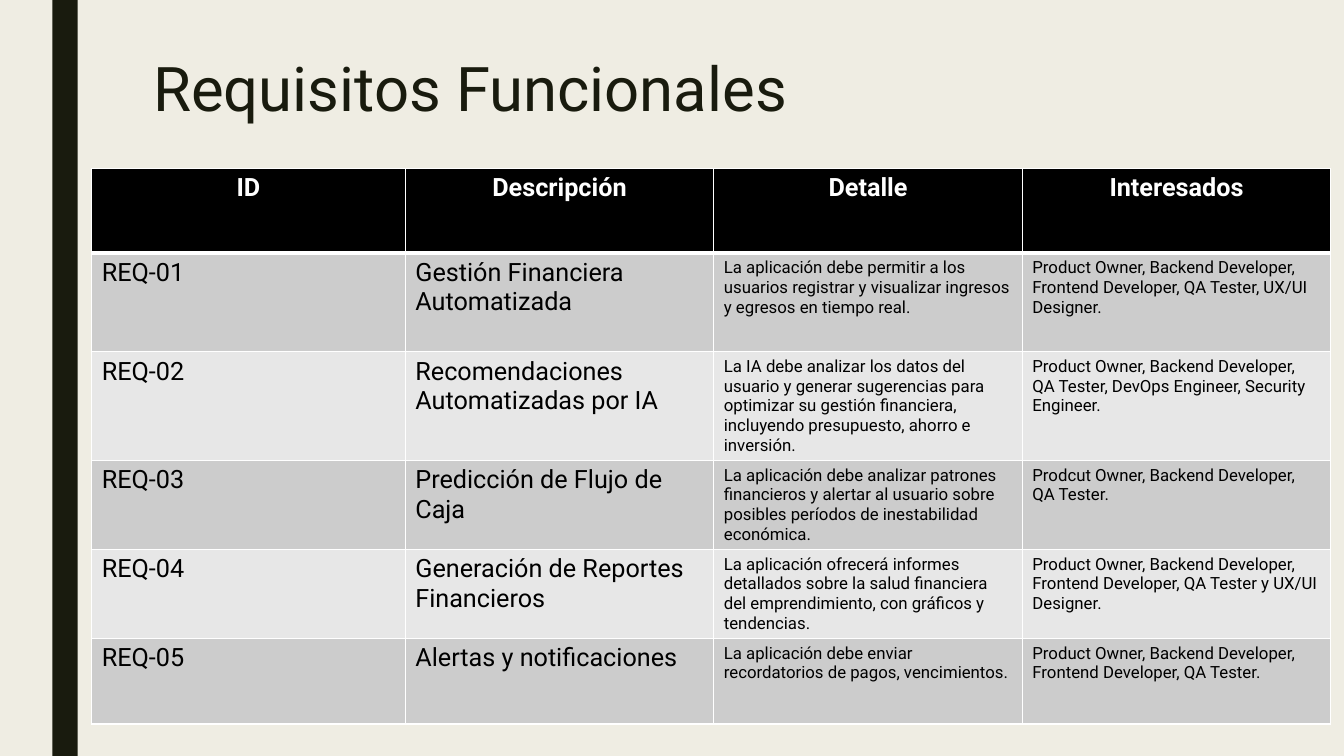
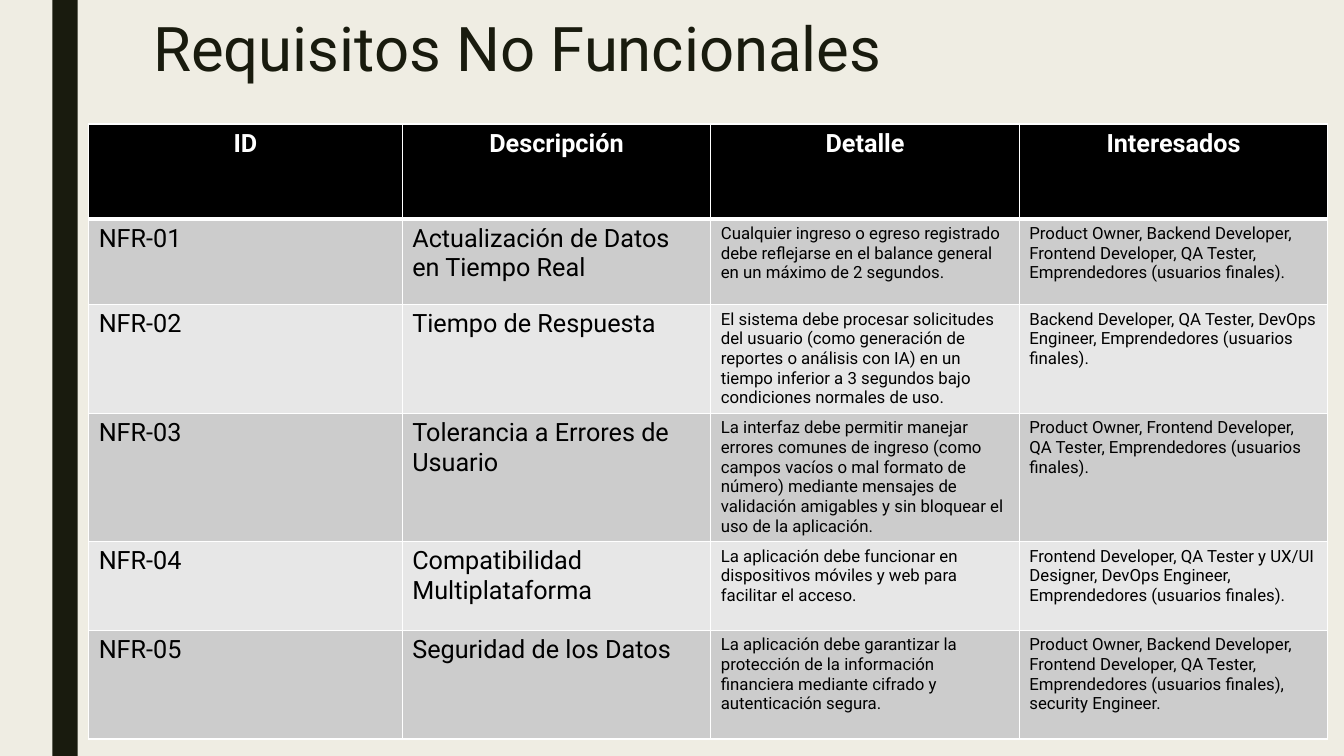
from lxml.etree import SubElement
from pptx import Presentation
from pptx.dml.color import RGBColor
from pptx.enum.shapes import MSO_SHAPE
from pptx.enum.text import MSO_ANCHOR, PP_ALIGN
from pptx.oxml.ns import qn
from pptx.util import Inches, Pt

CREAM = RGBColor(0xEF, 0xED, 0xE3)
DARK = RGBColor(0x19, 0x1B, 0x0E)
BLACK = RGBColor(0, 0, 0)
WHITE = RGBColor(0xFF, 0xFF, 0xFF)
ROW_FILLS = (RGBColor(0xCC, 0xCC, 0xCC), RGBColor(0xE7, 0xE7, 0xE7))
FONT = "Roboto"

TITLE_ONLY = 5
HEADINGS = ("ID", "Descripción", "Detalle", "Interesados")
COLUMN_WIDTHS = (3.11, 3.06, 3.06, 3.06)
COLUMN_SIZES = (18, 18, 12, 12)

FUNCTIONAL = (
    ("REQ-01", "Gestión Financiera Automatizada",
     "La aplicación debe permitir a los usuarios registrar y visualizar ingresos "
     "y egresos en tiempo real.",
     "Product Owner, Backend Developer, Frontend Developer, QA Tester, UX/UI Designer."),
    ("REQ-02", "Recomendaciones Automatizadas por IA",
     "La IA debe analizar los datos del usuario y generar sugerencias para optimizar "
     "su gestión financiera, incluyendo presupuesto, ahorro e inversión.",
     "Product Owner, Backend Developer, QA Tester, DevOps Engineer, Security Engineer."),
    ("REQ-03", "Predicción de Flujo de Caja",
     "La aplicación debe analizar patrones financieros y alertar al usuario sobre "
     "posibles períodos de inestabilidad económica.",
     "Prodcut Owner, Backend Developer, QA Tester."),
    ("REQ-04", "Generación de Reportes Financieros",
     "La aplicación ofrecerá informes detallados sobre la salud financiera del "
     "emprendimiento, con gráficos y tendencias.",
     "Product Owner, Backend Developer, Frontend Developer, QA Tester y UX/UI Designer."),
    ("REQ-05", "Alertas y notificaciones",
     "La aplicación debe enviar recordatorios de pagos, vencimientos.",
     "Product Owner, Backend Developer, Frontend Developer, QA Tester."),
)
NON_FUNCTIONAL = (
    ("NFR-01", "Actualización de Datos en Tiempo Real",
     "Cualquier ingreso o egreso registrado debe reflejarse en el balance general "
     "en un máximo de 2 segundos.",
     "Product Owner, Backend Developer, Frontend Developer, QA Tester, "
     "Emprendedores (usuarios finales)."),
    ("NFR-02", "Tiempo de Respuesta",
     "El sistema debe procesar solicitudes del usuario (como generación de reportes "
     "o análisis con IA) en un tiempo inferior a 3 segundos bajo condiciones "
     "normales de uso.",
     "Backend Developer, QA Tester, DevOps Engineer, Emprendedores (usuarios finales)."),
    ("NFR-03", "Tolerancia a Errores de Usuario",
     "La interfaz debe permitir manejar errores comunes de ingreso (como campos vacíos "
     "o mal formato de número) mediante mensajes de validación amigables y sin "
     "bloquear el uso de la aplicación.",
     "Product Owner, Frontend Developer, QA Tester, Emprendedores (usuarios finales)."),
    ("NFR-04", "Compatibilidad Multiplataforma",
     "La aplicación debe funcionar en dispositivos móviles y web para facilitar el acceso.",
     "Frontend Developer, QA Tester y UX/UI Designer, DevOps Engineer, "
     "Emprendedores (usuarios finales)."),
    ("NFR-05", "Seguridad de los Datos",
     "La aplicación debe garantizar la protección de la información financiera "
     "mediante cifrado y autenticación segura.",
     "Product Owner, Backend Developer, Frontend Developer, QA Tester, "
     "Emprendedores (usuarios finales), security Engineer."),
)


def style_font(font, size, color, bold=False):
    font.name = FONT
    font.size = Pt(size)
    font.color.rgb = color
    font.bold = bold


def set_background(master):
    master.background.fill.solid()
    master.background.fill.fore_color.rgb = CREAM


def move_band_to_master(slide, master):
    """Draw the vertical band and hand it to the master, behind its placeholders."""
    band = slide.shapes.add_shape(MSO_SHAPE.RECTANGLE, Inches(0.52), 0,
                                  Inches(0.25), Inches(7.5))
    band.shadow.inherit = False
    band.fill.solid()
    band.fill.fore_color.rgb = DARK
    band.line.fill.background()
    master.shapes.element.insert(2, band.element)


def set_title(slide, text, top):
    title = slide.shapes.title
    title.left, title.top = Inches(1.42), Inches(top)
    title.width, title.height = Inches(10.5), Inches(0.76)
    title.text_frame.text = text
    title.text_frame.vertical_anchor = MSO_ANCHOR.MIDDLE
    paragraph = title.text_frame.paragraphs[0]
    paragraph.alignment = PP_ALIGN.LEFT
    paragraph.line_spacing = 0.89
    style_font(paragraph.font, 44, DARK)


def set_borders(cell, top, bottom):
    properties = cell._tc.get_or_add_tcPr()
    for side, width in (("L", 1), ("R", 1), ("T", top), ("B", bottom)):
        line = SubElement(properties, qn(f"a:ln{side}"), w=str(Pt(width)))
        fill = SubElement(line, qn("a:solidFill"))
        SubElement(fill, qn("a:srgbClr"), val=str(WHITE))


def fill_cell(cell, text, row, size):
    is_heading = row == 0
    set_borders(cell, top=3 if row == 1 else 1, bottom=3 if is_heading else 1)
    cell.fill.solid()
    cell.fill.fore_color.rgb = BLACK if is_heading else ROW_FILLS[(row - 1) % 2]
    cell.text = text
    paragraph = cell.text_frame.paragraphs[0]
    if is_heading:
        paragraph.alignment = PP_ALIGN.CENTER
        style_font(paragraph.font, 18, WHITE, bold=True)
    else:
        style_font(paragraph.font, size, BLACK)


def add_requirements(slide, requirements, left, top, row_heights):
    table = slide.shapes.add_table(
        len(requirements) + 1, len(HEADINGS), Inches(left), Inches(top),
        Inches(sum(COLUMN_WIDTHS)), Inches(sum(row_heights))).table
    table.horz_banding = False
    for column, width in zip(table.columns, COLUMN_WIDTHS):
        column.width = Inches(width)
    for table_row, height in zip(table.rows, row_heights):
        table_row.height = Inches(height)
    for row, texts in enumerate((HEADINGS, *requirements)):
        for column, (text, size) in enumerate(zip(texts, COLUMN_SIZES)):
            fill_cell(table.cell(row, column), text, row, size)


def add_requirements_slide(deck, title, title_top, requirements, left, top, row_heights):
    slide = deck.slides.add_slide(deck.slide_layouts[TITLE_ONLY])
    set_title(slide, title, title_top)
    add_requirements(slide, requirements, left, top, row_heights)
    return slide


def main():
    deck = Presentation()
    deck.slide_width, deck.slide_height = Inches(13.33), Inches(7.5)
    set_background(deck.slide_master)
    functional = add_requirements_slide(
        deck, "Requisitos Funcionales", 0.53, FUNCTIONAL,
        0.91, 1.67, (0.84, 0.98, 1.08, 0.88, 0.88, 0.85))
    move_band_to_master(functional, deck.slide_master)
    add_requirements_slide(
        deck, "Requisitos No Funcionales", 0.13, NON_FUNCTIONAL,
        0.88, 1.23, (0.94, 0.85, 1.08, 1.27, 0.88, 1.08))
    deck.save("out.pptx")


if __name__ == "__main__":
    main()
